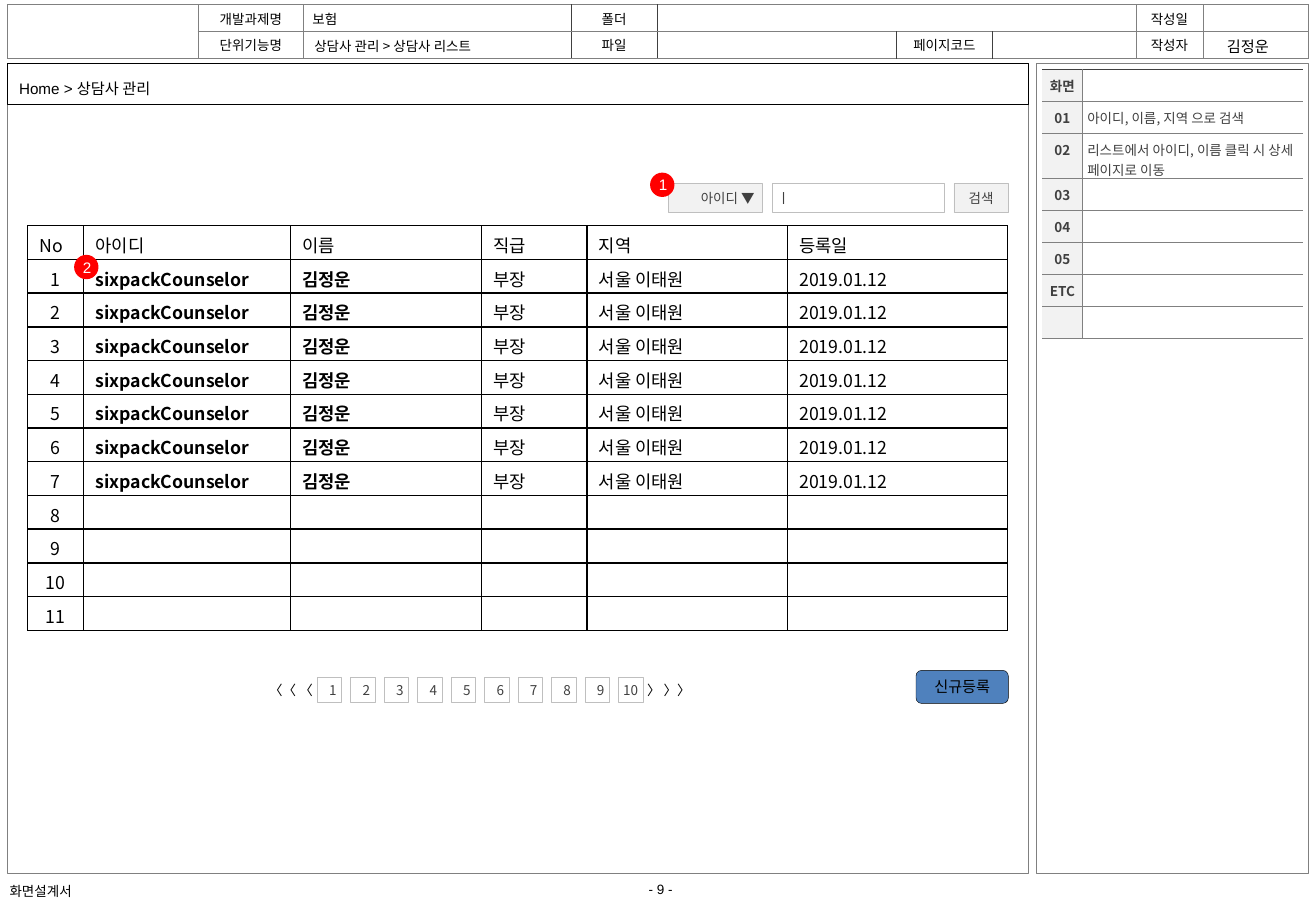
from dataclasses import dataclass
from typing import Optional

from lxml import etree
from pptx import Presentation
from pptx.dml.color import RGBColor
from pptx.enum.shapes import MSO_SHAPE as Geo
from pptx.enum.text import MSO_ANCHOR as Anchor, PP_ALIGN as Align
from pptx.oxml.ns import qn
from pptx.util import Cm, Pt

NOTO, ARIAL = "Noto Sans CJK KR", "Arial"
BLACK, WHITE, DARK, GRAY = "000000", "FFFFFF", "404040", "808080"
SILVER, PALE, RED, BLUE = "BFBFBF", "F2F2F2", "FF0000", "4F81BD"
Insets = tuple[float, float, float, float]
Line = tuple[str, float]
DEFAULT_INSETS: Insets = (0.25, 0.13, 0.25, 0.13)


@dataclass(frozen=True)
class Style:
    size: float = 8
    font: str = NOTO
    color: str = BLACK
    align: Align = Align.CENTER
    bold: bool = False
    spacing: Optional[float] = None


@dataclass(frozen=True)
class Box:
    x: float
    y: float
    w: float
    h: float
    text: str = ""
    style: Style = Style()
    geo: Optional[Geo] = Geo.RECTANGLE
    fill: Optional[str] = None
    line: Optional[Line] = None
    insets: Insets = DEFAULT_INSETS
    wrap: bool = True


@dataclass(frozen=True)
class CellLook:
    style: Style
    insets: Insets = DEFAULT_INSETS
    anchor: Anchor = Anchor.TOP
    fill: Optional[str] = None


def rgb(value: str) -> RGBColor:
    return RGBColor.from_string(value)


def set_fill(fill, color: Optional[str]) -> None:
    if color:
        fill.solid()
        fill.fore_color.rgb = rgb(color)
    else:
        fill.background()


def set_insets(target, insets: Insets) -> None:
    target.margin_left, target.margin_top, target.margin_right, target.margin_bottom = map(Cm, insets)


def write(tf, text: str, style: Style) -> None:
    p = tf.paragraphs[0]
    p.alignment = style.align
    if style.spacing:
        p.line_spacing = style.spacing
    if not text:
        etree.SubElement(p._p, qn("a:endParaRPr")).set("sz", str(int(style.size * 100)))
        return
    r = p.add_run()
    r.text = text
    r.font.size, r.font.bold, r.font.name = Pt(style.size), style.bold, style.font
    r.font.color.rgb = rgb(style.color)
    etree.SubElement(r._r.rPr, qn("a:ea")).set("typeface", NOTO)


def draw_box(slide, box: Box) -> None:
    place = map(Cm, (box.x, box.y, box.w, box.h))
    if box.geo is None:
        sp = slide.shapes.add_textbox(*place)
    else:
        sp = slide.shapes.add_shape(box.geo, *place)
        sp.shadow.inherit = False
        set_fill(sp.fill, box.fill)
        set_fill(sp.line.fill, box.line[0] if box.line else None)
        if box.line:
            sp.line.width = Pt(box.line[1])
    if box.text:
        tf = sp.text_frame
        tf.word_wrap = box.wrap
        tf.vertical_anchor = Anchor.TOP if box.geo is None else Anchor.MIDDLE
        set_insets(tf, box.insets)
        write(tf, box.text, box.style)


def set_borders(cell, **lines: Optional[Line]) -> None:
    tc_pr = cell._tc.get_or_add_tcPr()
    for i, side in enumerate("LRTB"):
        ln = etree.Element(qn(f"a:ln{side}"))
        line = lines.get(side)
        if line:
            ln.set("w", str(Pt(line[1])))
            fill = etree.SubElement(ln, qn("a:solidFill"))
            etree.SubElement(fill, qn("a:srgbClr")).set("val", line[0])
        else:
            etree.SubElement(ln, qn("a:noFill"))
        tc_pr.insert(i, ln)


def add_grid(slide, x: float, y: float, widths: list[float], row_h: float, rows: int):
    frame = slide.shapes.add_table(rows, len(widths), Cm(x), Cm(y), Cm(sum(widths)), Cm(row_h * rows))
    table = frame.table
    table.first_row = table.horz_banding = False
    for column, width in zip(table.columns, widths):
        column.width = Cm(width)
    for row in table.rows:
        row.height = Cm(row_h)
    return table


def fill_cell(cell, text: str, look: CellLook) -> None:
    set_insets(cell, look.insets)
    cell.vertical_anchor = look.anchor
    set_fill(cell.fill, look.fill)
    write(cell.text_frame, text, look.style)


def draw_header(slide) -> None:
    rows = [["", "개발과제명", "보험", "폴더", "", "", "", "작성일", ""],
            ["", "단위기능명", "", "파일", "", "페이지코드", "", "작성자", ""]]
    table = add_grid(slide, 0.15, 0.1, [3.99, 2.21, 5.59, 1.8, 5, 2.01, 3, 1.4, 2.21], 0.56, 2)
    table.cell(0, 0).merge(table.cell(1, 0))
    table.cell(0, 4).merge(table.cell(0, 6))
    label = CellLook(Style(), (0.1, 0.05, 0.1, 0.05), Anchor.MIDDLE)
    project = CellLook(Style(align=Align.LEFT), (0.18, 0.05, 0.1, 0.05), Anchor.MIDDLE)
    outer, inner = (GRAY, 0.5), (DARK, 0.25)
    for i, texts in enumerate(rows):
        for j, text in enumerate(texts):
            cell = table.cell(i, j)
            fill_cell(cell, text, project if j == 2 else label)
            right = j + 2 if cell.is_merge_origin and j else j
            set_borders(cell, T=outer, B=outer, L=inner if 3 <= j <= 6 else outer,
                        R=inner if 2 <= right <= 5 else outer)


def draw_notes_panel(slide) -> None:
    rows = [("화면", ""), ("01", "아이디, 이름, 지역 으로 검색"),
            ("02", "리스트에서 아이디, 이름 클릭 시 상세 페이지로 이동"),
            ("03", ""), ("04", ""), ("05", ""), ("ETC", ""), ("", "")]
    table = add_grid(slide, 21.79, 1.45, [0.84, 4.6], 0.67, len(rows))
    key_look = CellLook(Style(color=DARK, bold=True), (0, 0.13, 0, 0.13), fill=PALE)
    note_look = CellLook(Style(color=DARK, align=Align.LEFT), (0.1, 0.13, 0, 0.13))
    thin = (GRAY, 0.25)
    for i, (key, note) in enumerate(rows):
        top = thin if i else (DARK, 0.5)
        fill_cell(table.cell(i, 0), key, key_look)
        set_borders(table.cell(i, 0), R=thin, T=top, B=thin)
        fill_cell(table.cell(i, 1), note, note_look)
        set_borders(table.cell(i, 1), L=thin, T=top, B=thin)


def draw_counselors(slide) -> None:
    heads = ["No", "아이디", "이름", "직급", "지역", "등록일"]
    counselor = ["sixpackCounselor", "김정운", "부장", "서울 이태원", "2019.01.12"]
    rows = [heads] + [[str(n)] + (counselor if n <= 7 else [""] * 5) for n in range(1, 12)]
    table = add_grid(slide, 0.58, 4.72, [1.17, 4.32, 3.99, 2.21, 4.19, 4.6], 0.7, len(rows))
    edge = (BLACK, 1)
    for i, texts in enumerate(rows):
        for j, text in enumerate(texts):
            align = Align.CENTER if i and j == 0 else Align.LEFT
            style = Style(10.5, align=align, bold=i > 0 and j in (1, 2))
            fill_cell(table.cell(i, j), text, CellLook(style))
            set_borders(table.cell(i, j), L=edge, R=edge, T=edge, B=edge)


def draw_title(slide) -> None:
    title = slide.shapes.title
    title.left, title.top, title.width, title.height = map(Cm, (6.32, 0.66, 7.44, 0.61))
    tf = title.text_frame
    tf.vertical_anchor = Anchor.MIDDLE
    set_insets(tf, DEFAULT_INSETS)
    write(tf, "상담사 관리 > 상담사 리스트", Style(align=Align.LEFT))


def main() -> None:
    prs = Presentation()
    prs.slide_width, prs.slide_height = Cm(27.51), Cm(19.05)
    slide = prs.slides.add_slide(prs.slide_layouts[5])
    thin, frame, black_line = (SILVER, 0.25), (GRAY, 0.5), (BLACK, 0.25)
    arial = Style(9, ARIAL)
    marker = Style(9, ARIAL, WHITE)
    control = Style(color=DARK)
    arrow_insets = (0, 0.1, 0, 0.1)

    draw_title(slide)
    for box in (
        Box(13.16, 18.29, 1.3, 0.58, "- 9 -", Style(8, ARIAL), None, wrap=False),
        Box(0, 18.34, 1.88, 0.61, "화면설계서", Style(8, ARIAL, align=Align.LEFT), None,
            insets=(0.2, 0.13, 0.25, 0.13), wrap=False),
        Box(21.67, 1.32, 5.69, 16.94, fill=WHITE, line=frame),
        Box(0.15, 1.32, 21.36, 16.94, line=frame),
    ):
        draw_box(slide, box)
    draw_header(slide)
    draw_notes_panel(slide)
    draw_box(slide, Box(0.15, 1.32, 21.34, 0.86, "Home > 상담사 관리",
                        Style(9, ARIAL, align=Align.LEFT, spacing=1.5), line=black_line))
    draw_counselors(slide)
    for n in range(1, 11):
        insets = DEFAULT_INSETS if n < 10 else (0, 0.13, 0, 0.13)
        draw_box(slide, Box(6.63 + 0.7 * (n - 1), 14.17, 0.51, 0.51, str(n), control,
                            fill=WHITE, line=thin, insets=insets))
    for box in (
        Box(1.55, 5.33, 0.51, 0.51, "2", marker, Geo.OVAL, RED),
        Box(19.15, 14.02, 1.93, 0.69, "신규등록", arial, Geo.ROUNDED_RECTANGLE, BLUE, black_line),
        Box(13.44, 14.17, 1.09, 0.53, "〉 〉〉", Style(), None, insets=arrow_insets),
        Box(5.54, 14.17, 1.09, 0.53, "〈〈 〈", Style(), None, insets=arrow_insets),
        Box(16.15, 3.84, 3.58, 0.61, "ㅣ", Style(color=DARK, align=Align.LEFT),
            fill=WHITE, line=thin, insets=(0.1, 0.13, 0.25, 0.13)),
        Box(13.97, 3.84, 1.96, 0.61, "아이디 ▼", Style(color=DARK, align=Align.RIGHT),
            fill=PALE, line=thin, insets=(0.25, 0.13, 0.15, 0.13)),
        Box(13.59, 3.61, 0.51, 0.51, "1", marker, Geo.OVAL, RED),
        Box(19.94, 3.84, 1.14, 0.61, "검색", control, fill=PALE, line=thin),
        Box(25.35, 0.66, 1.47, 0.64, "김정운", arial, None, wrap=False),
    ):
        draw_box(slide, box)
    prs.save("out.pptx")


if __name__ == "__main__":
    main()
